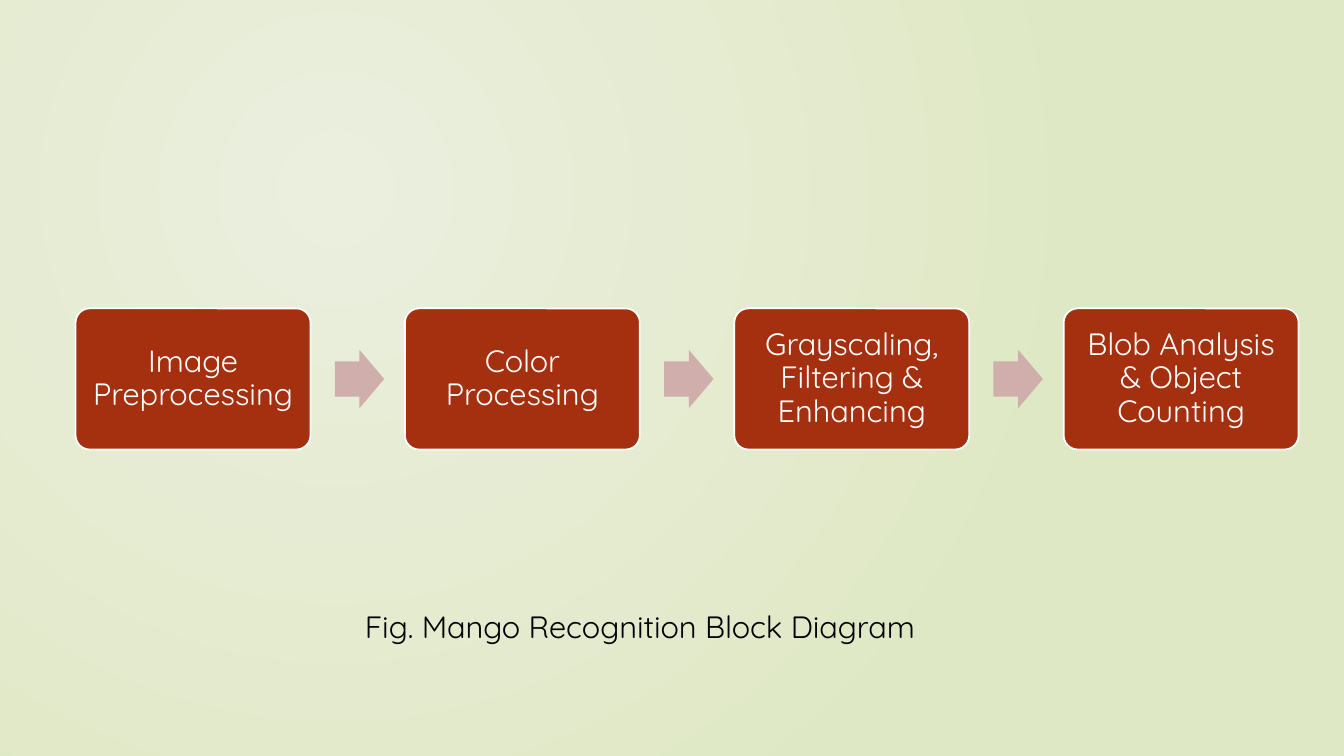
from lxml import etree
from pptx import Presentation
from pptx.dml.color import RGBColor
from pptx.enum import shapes, text
from pptx.oxml import ns
from pptx.util import Inches, Pt

STEPS = [
    "Image Preprocessing",
    "Color Processing",
    "Grayscaling, Filtering & Enhancing",
    "Blob Analysis & Object Counting",
]
CAPTION = "Fig. Mango Recognition Block Diagram"


class Theme:
    font = "Quicksand"
    size = Pt(22)
    box = RGBColor.from_string("A53010")
    outline = RGBColor.from_string("FFFFFF")
    arrow = RGBColor.from_string("CFAEAB")
    box_text = RGBColor.from_string("FFFFFF")
    caption = RGBColor.from_string("000000")
    background = [RGBColor.from_string("EBEFDE"), RGBColor.from_string("DFE8C4")]


FIRST_LEFT, LAST_LEFT, BOX_TOP = 0.75, 10.55, 3.06
BOX_WIDTH, BOX_HEIGHT, BOX_INSET = 2.33, 1.4, 0.09
ARROW_WIDTH, ARROW_HEIGHT, ARROW_GAP = 0.49, 0.58, 0.24
PITCH = (LAST_LEFT - FIRST_LEFT) / (len(STEPS) - 1)


def paint_background(slide):
    """Fill the slide with a circular gradient centred in its upper left."""
    fill = slide.background.fill
    fill.gradient()
    for stop, color in zip(fill.gradient_stops, Theme.background):
        stop.color.rgb = color
    gradient = slide.element.find(".//" + ns.qn("a:gradFill"))
    gradient.remove(gradient.find(ns.qn("a:lin")))
    circle = etree.SubElement(gradient, ns.qn("a:path"), path="circle")
    etree.SubElement(circle, ns.qn("a:fillToRect"),
                     l="50000", t="50000", r="100000", b="100000")


def add_block(slide, kind, left, top, width, height, color, adjustments):
    shape = slide.shapes.add_shape(
        kind, Inches(left), Inches(top), Inches(width), Inches(height))
    shape.shadow.inherit = False
    shape.fill.solid()
    shape.fill.fore_color.rgb = color
    shape.line.fill.background()
    for index, value in enumerate(adjustments):
        shape.adjustments[index] = value
    return shape


def write(shape, words, color):
    frame = shape.text_frame
    frame.word_wrap = True
    paragraph = frame.paragraphs[0]
    paragraph.text = words
    paragraph.font.name = Theme.font
    paragraph.font.size = Theme.size
    paragraph.font.color.rgb = color
    return frame, paragraph


def add_step(slide, left, words):
    box = add_block(slide, shapes.MSO_SHAPE.ROUNDED_RECTANGLE, left, BOX_TOP,
                    BOX_WIDTH, BOX_HEIGHT, Theme.box, [0.1])
    box.line.color.rgb = Theme.outline
    box.line.width = Pt(1.25)
    frame, paragraph = write(box, words, Theme.box_text)
    frame.margin_left = frame.margin_right = Inches(BOX_INSET)
    frame.margin_top = frame.margin_bottom = Inches(BOX_INSET)
    frame.vertical_anchor = text.MSO_ANCHOR.MIDDLE
    paragraph.alignment = text.PP_ALIGN.CENTER
    paragraph.line_spacing = 0.9


def main():
    presentation = Presentation()
    presentation.slide_width = Inches(13.33)
    presentation.slide_height = Inches(7.5)
    slide = presentation.slides.add_slide(presentation.slide_layouts[6])
    paint_background(slide)

    caption = slide.shapes.add_textbox(
        Inches(3.52), Inches(5.98), Inches(6.3), Inches(0.47))
    write(caption, CAPTION, Theme.caption)

    arrow_top = BOX_TOP + (BOX_HEIGHT - ARROW_HEIGHT) / 2
    for index, words in enumerate(STEPS):
        left = FIRST_LEFT + index * PITCH
        add_step(slide, left, words)
        if index < len(STEPS) - 1:
            add_block(slide, shapes.MSO_SHAPE.RIGHT_ARROW,
                      left + BOX_WIDTH + ARROW_GAP, arrow_top,
                      ARROW_WIDTH, ARROW_HEIGHT, Theme.arrow, [0.6, 0.5])

    presentation.save("out.pptx")


if __name__ == "__main__":
    main()
